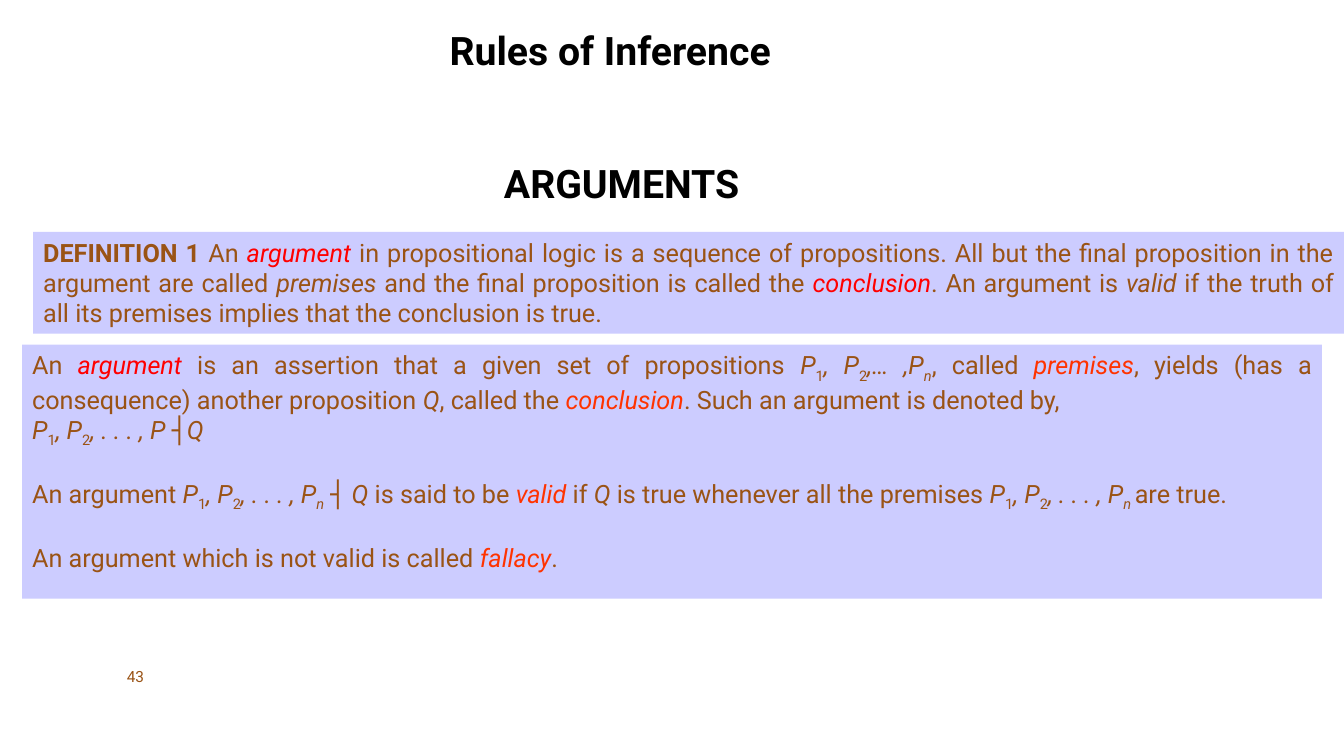
from pptx import Presentation
from pptx.dml.color import RGBColor
from pptx.enum.shapes import MSO_SHAPE as SHAPE
from pptx.enum.text import MSO_ANCHOR as ANCHOR, MSO_AUTO_SIZE as AUTO, PP_ALIGN as ALIGN
from pptx.util import Pt

PX = 9144  # 100 px to the inch
FONT = "Roboto"
BROWN, RED, ORANGE, LILAC, BLACK = "9A5315", "FF0000", "FF3300", "CCCCFF", "000000"

# Format values of each kind of run
STYLES = {
    "plain": {"size": 18, "color": BROWN},
    "bold": {"size": 18, "color": BROWN, "bold": True},
    "math": {"size": 18, "color": BROWN, "italic": True},
    "sub": {"size": 18, "color": BROWN, "baseline": -25000},
    "mathsub": {"size": 18, "color": BROWN, "italic": True, "baseline": -25000},
    "red": {"size": 18, "color": RED, "italic": True},
    "orange": {"size": 18, "color": ORANGE, "italic": True},
    "heading": {"size": 28, "color": BLACK, "bold": True},
    "number": {"size": 11, "color": BROWN},
}


def rgb(value):
    return RGBColor.from_string(value)


def px(*lengths):
    return [length * PX for length in lengths]


def add_run(paragraph, text, style):
    run = paragraph.add_run()
    run.text = text
    run.font.name = FONT
    for key, value in STYLES[style].items():
        if key == "color":
            run.font.color.rgb = rgb(value)
        elif key == "size":
            run.font.size = Pt(value)
        elif key == "baseline":
            run._r.get_or_add_rPr().set("baseline", str(value))
        else:
            setattr(run.font, key, value)


def write(frame, paragraphs, align=ALIGN.LEFT, anchor=ANCHOR.TOP, wrap=True):
    """Each paragraph is a pair: space before in points, list of (style, text)."""
    for key, value in {"word_wrap": wrap, "auto_size": AUTO.NONE,
                       "vertical_anchor": anchor}.items():
        setattr(frame, key, value)
    for index, (gap, runs) in enumerate(paragraphs):
        paragraph = frame.add_paragraph() if index else frame.paragraphs[0]
        paragraph.alignment = align
        if gap:
            paragraph.space_before = Pt(gap)
        for style, text in runs:
            add_run(paragraph, text, style)


def add_panel(slide, box, paragraphs):
    panel = slide.shapes.add_shape(SHAPE.RECTANGLE, *px(*box))
    panel.shadow.inherit = False
    panel.fill.solid()
    panel.fill.fore_color.rgb = rgb(LILAC)
    panel.line.fill.background()
    write(panel.text_frame, paragraphs, ALIGN.JUSTIFY)


def add_label(slide, box, text, style, **layout):
    label = slide.shapes.add_textbox(*px(*box))
    write(label.text_frame, [(0, [(style, text)])], **layout)


def set_title(slide, box, text):
    title = slide.shapes.title
    title.left, title.top, title.width, title.height = px(*box)
    write(title.text_frame, [(0, [("heading", text)])], wrap=False)


def premises(rest):
    """Runs for P1, P2 and what follows them."""
    return [("math", "P"), ("sub", "1"), ("math", ", P"), ("sub", "2"), ("math", rest)]


DEFINITION = [(0, [
    ("bold", "DEFINITION 1 "), ("plain", "An "), ("red", "argument "),
    ("plain", "in propositional logic is a sequence of propositions. All but the final "
              "proposition in the argument are called "),
    ("math", "premises "), ("plain", "and the final proposition is called the "),
    ("red", "conclusion"), ("plain", ". An argument is "), ("math", "valid "),
    ("plain", "if the truth of all its premises implies that the conclusion is true."),
])]

ARGUMENT = [
    (0, [("plain", "An "), ("red", "argument "),
         ("plain", "is an assertion that a given set of propositions "),
         *premises(",… ,P"), ("mathsub", "n"), ("plain", ", called "),
         ("orange", "premises"),
         ("plain", ", yields (has a consequence) another proposition "),
         ("math", "Q"), ("plain", ", called the "), ("orange", "conclusion"),
         ("plain", ". Such an argument is denoted by,")]),
    (0, premises(", . . . , P ┤Q")),
    (21, [("plain", "An argument "), *premises(", . . . , P"), ("mathsub", "n"),
          ("math", " ┤ Q "), ("plain", "is said to be "), ("orange", "valid "),
          ("plain", "if "), ("math", "Q "),
          ("plain", "is true whenever all the premises "),
          *premises(", . . . , P"), ("mathsub", "n "), ("plain", "are true.")]),
    (21, [("plain", "An argument which is not valid is called "),
          ("orange", "fallacy"), ("plain", ".")]),
]


def main():
    deck = Presentation()
    deck.slide_width, deck.slide_height = px(1333, 750)
    slide = deck.slides.add_slide(deck.slide_layouts[5])

    # Headings
    set_title(slide, (436, 21, 369, 57), "Rules of Inference")
    add_label(slide, (401, 153, 431, 57), "ARGUMENTS", "heading", align=ALIGN.CENTER)

    # Definition and explanation
    add_panel(slide, (22, 342, 1289, 252), ARGUMENT)
    add_panel(slide, (33, 230, 1300, 101), DEFINITION)

    # Slide number
    add_label(slide, (116, 658, 83, 25), "43", "number", anchor=ANCHOR.MIDDLE)

    deck.save("out.pptx")


if __name__ == "__main__":
    main()
